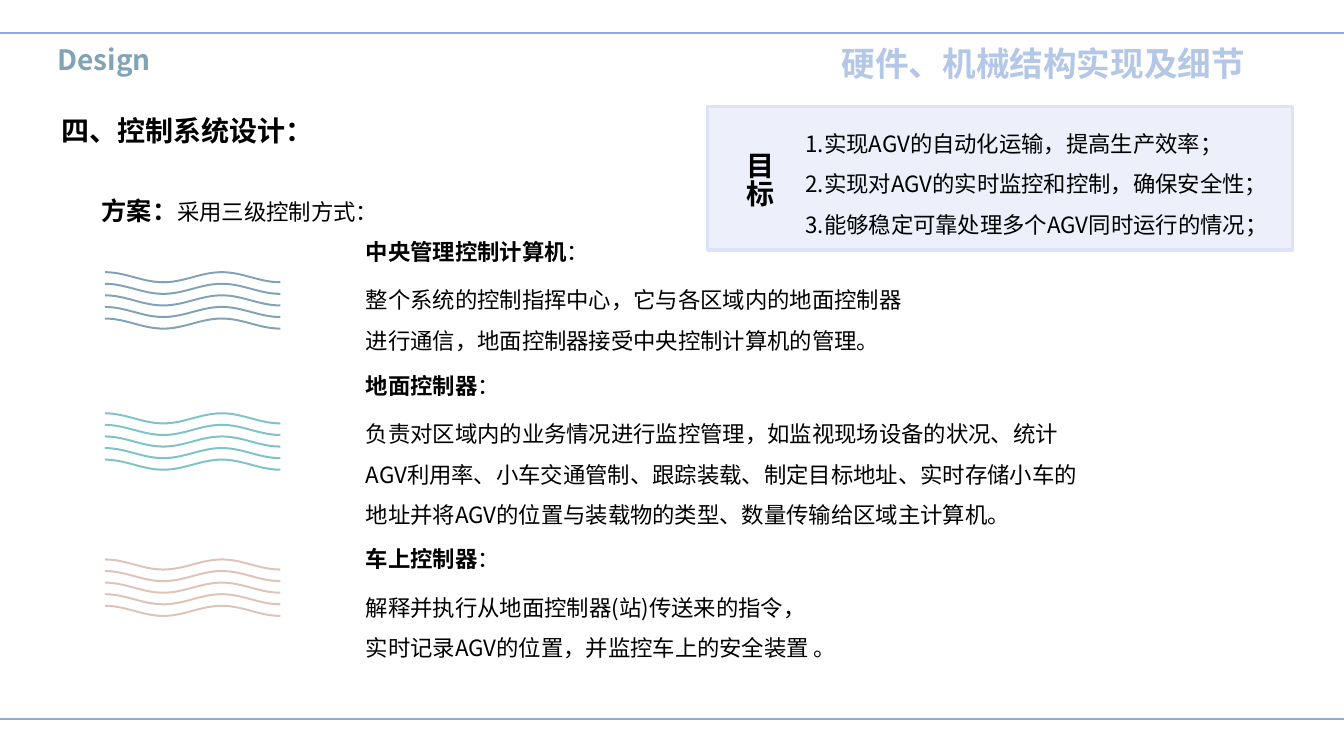
"""Builds the AGV control system design slide."""
from lxml.etree import SubElement
from pptx import Presentation
from pptx.dml.color import RGBColor
from pptx.enum.shapes import MSO_CONNECTOR, MSO_SHAPE
from pptx.enum.text import MSO_AUTO_SIZE, PP_ALIGN
from pptx.oxml.ns import qn
from pptx.util import Inches, Pt

FONT = "Noto Sans CJK SC"
BLACK, RULE, PANEL = "000000", "8FAADC", "DCE3F8"
SLIDE_WIDTH, SLIDE_HEIGHT = 13.33, 7.5

HEADINGS = [
    ("Design", (0.47, 0.37, 2.99, 0.44), 20, "82A3B6"),
    ("四、控制系统设计：", (0.51, 1.08, 3.85, 0.44), 20, BLACK),
    ("硬件、机械结构实现及细节", (8.25, 0.38, 4.69, 0.5), 24, "B4C7E7"),
]
GOAL_TITLE = "目标"
GOALS = [
    "1.实现AGV的自动化运输，提高生产效率；",
    "2.实现对AGV的实时监控和控制，确保安全性；",
    "3.能够稳定可靠处理多个AGV同时运行的情况；",
]
SCHEME = [("方案：", 18, True), ("采用三级控制方式：", 16, False)]
LEVELS = [
    {"name": "中央管理控制计算机", "top": 2.31, "width": 5.54, "height": 0.87,
     "waves_top": 2.69, "color": "82A3B6",
     "duty": "整个系统的控制指挥中心，它与各区域内的地面控制器进行通信，地面控制器接受中央控制计算机的管理。"},
    {"name": "地面控制器", "top": 3.64, "width": 7.26, "height": 1.27,
     "waves_top": 4.09, "color": "7EC3C6",
     "duty": "负责对区域内的业务情况进行监控管理，如监视现场设备的状况、统计AGV利用率、小车交通管制、跟踪装载、"
             "制定目标地址、实时存储小车的地址并将AGV的位置与装载物的类型、数量传输给区域主计算机。"},
    {"name": "车上控制器", "top": 5.36, "width": 4.75, "height": 0.87,
     "waves_top": 5.54, "color": "DFC3BA",
     "duty": "解释并执行从地面控制器(站)传送来的指令，实时记录AGV的位置，并监控车上的安全装置 。"},
]
LEVEL_LEFT, NAME_WIDTH, NAME_HEIGHT, DUTY_OFFSET = 3.53, 2.86, 0.37, 0.35
WAVE_LEFT, WAVE_SPAN, WAVE_DEPTH, WAVE_THICKNESS = 1.04, 0.58, 0.1, 0.02
WAVE_COUNT, WAVE_GROUP_DEPTH, WAVE_EASE = 5, 0.46, 0.36


def rgb(color):
    return RGBColor.from_string(color)


def add_text(slide, place, paragraphs, color=BLACK, spacing=None, align=None, vertical=None):
    box = slide.shapes.add_textbox(*map(Inches, place))
    frame = box.text_frame
    frame.word_wrap = True
    frame.auto_size = MSO_AUTO_SIZE.SHAPE_TO_FIT_TEXT
    if vertical:
        frame._txBody.bodyPr.set("vert", vertical)
    for index, runs in enumerate(paragraphs):
        paragraph = frame.add_paragraph() if index else frame.paragraphs[0]
        if spacing:
            paragraph.line_spacing = spacing
        if align is not None:
            paragraph.alignment = align
        font = paragraph.font
        font.name = FONT
        font.color.rgb = rgb(color)
        SubElement(font._rPr, qn("a:ea"), typeface=FONT)
        _, first_size, first_bold = runs[0]
        font.size, font.bold = Pt(first_size), first_bold
        for text, size, bold in runs:
            run = paragraph.add_run()
            run.text = text
            if size != first_size:
                run.font.size = Pt(size)
            if bold != first_bold:
                run.font.bold = bold


def bend_segments(wave):
    start_x = start_y = None
    for point in list(wave._element.iter(qn("a:pt"))):
        x, y = int(point.get("x")), int(point.get("y"))
        segment = point.getparent()
        if segment.tag == qn("a:lnTo"):
            reach = round((x - start_x) * WAVE_EASE)
            curve = SubElement(segment.getparent(), qn("a:cubicBezTo"))
            for at_x, at_y in ((start_x + reach, start_y), (x - reach, y), (x, y)):
                SubElement(curve, qn("a:pt"), x=str(at_x), y=str(at_y))
            segment.getparent().replace(segment, curve)
        start_x, start_y = x, y


def add_wave(slide, top, color):
    crest = [(WAVE_LEFT + turn * WAVE_SPAN, top + turn % 2 * WAVE_DEPTH) for turn in range(4)]
    underside = [(x, y + WAVE_THICKNESS) for x, y in reversed(crest)]
    outline = [(Inches(x), Inches(y)) for x, y in crest + underside]
    builder = slide.shapes.build_freeform(*outline[0])
    builder.add_line_segments(outline[1:], close=True)
    wave = builder.convert_to_shape()
    bend_segments(wave)
    wave.shadow.inherit = False
    wave.fill.solid()
    wave.fill.fore_color.rgb = rgb(color)
    wave.line.fill.background()


def add_level(slide, level):
    top = level["top"]
    add_text(slide, (LEVEL_LEFT, top, NAME_WIDTH, NAME_HEIGHT),
             [[(level["name"], 16, True), ("：", 16, False)]])
    add_text(slide, (LEVEL_LEFT, top + DUTY_OFFSET, level["width"], level["height"]),
             [[(level["duty"], 16, False)]], spacing=1.5)
    pitch = WAVE_GROUP_DEPTH / (WAVE_COUNT - 1)
    for index in range(WAVE_COUNT):
        add_wave(slide, level["waves_top"] + index * pitch, level["color"])


def add_goals(slide):
    panel = slide.shapes.add_shape(
        MSO_SHAPE.RECTANGLE, *map(Inches, (7.02, 1.06, 5.8, 1.42)))
    panel.shadow.inherit = False
    panel.fill.solid()
    panel.fill.fore_color.rgb = rgb(PANEL)
    tint = panel._element.spPr.find(qn("a:solidFill")).find(qn("a:srgbClr"))
    SubElement(tint, qn("a:alpha"), val="50000")
    panel.line.color.rgb = rgb(PANEL)
    panel.line.width = Pt(2.25)
    add_text(slide, (7.21, 1.41, 0.54, 0.8), [[(GOAL_TITLE, 20, True)]], vertical="eaVert")
    add_text(slide, (7.89, 1.11, 4.72, 1.58),
             [[(goal, 16, False)] for goal in GOALS], spacing=1.5)


def add_rule(slide, y):
    rule = slide.shapes.add_connector(
        MSO_CONNECTOR.STRAIGHT, 0, Inches(y), Inches(SLIDE_WIDTH), Inches(y))
    rule.line.color.rgb = rgb(RULE)
    rule.line.width = Pt(1.5)
    SubElement(rule._element.spPr, qn("a:effectLst"))


def main():
    deck = Presentation()
    deck.slide_width, deck.slide_height = Inches(SLIDE_WIDTH), Inches(SLIDE_HEIGHT)
    slide = deck.slides.add_slide(deck.slide_layouts[6])
    for level in LEVELS:
        add_level(slide, level)
    add_goals(slide)
    add_text(slide, (0.91, 1.89, 3.26, 0.4), [SCHEME])
    for y in (0.33, 7.13):
        add_rule(slide, y)
    for text, place, size, color in HEADINGS:
        add_text(slide, place, [[(text, size, True)]], color, align=PP_ALIGN.JUSTIFY)
    deck.save("out.pptx")


if __name__ == "__main__":
    main()
